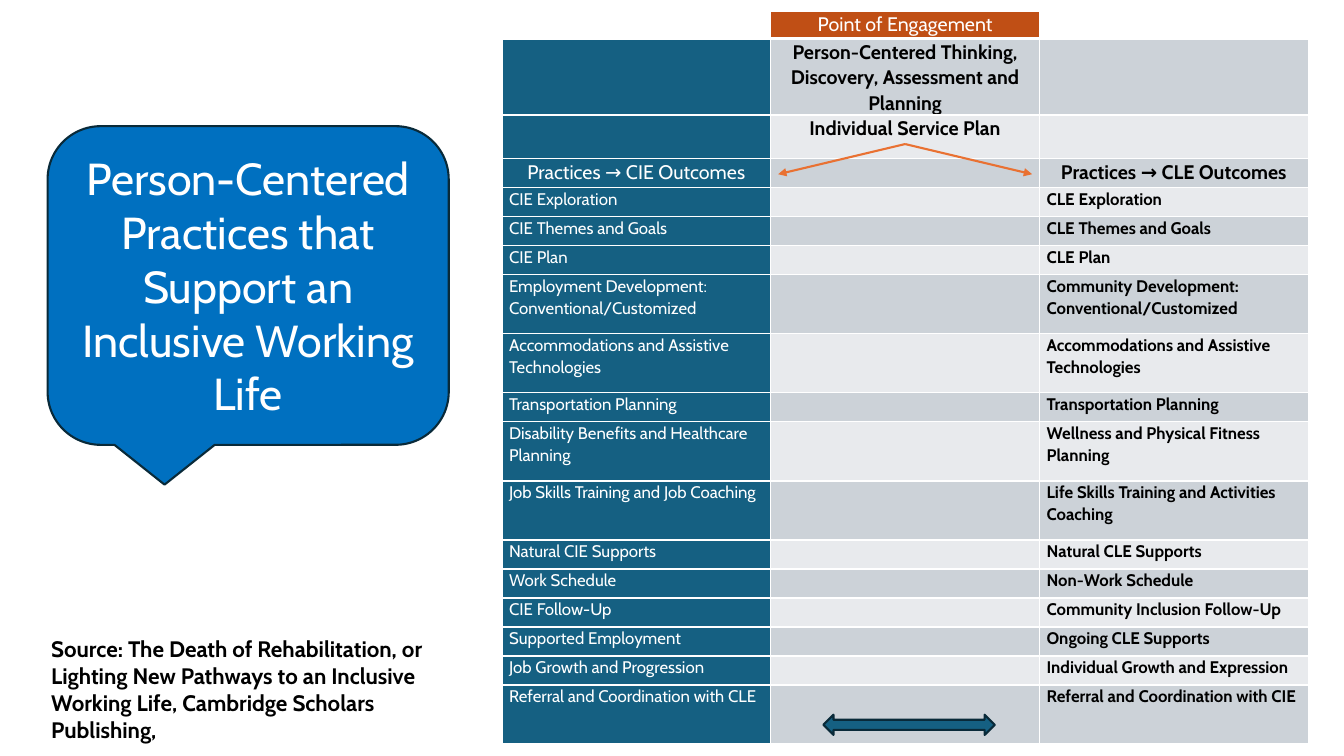
from lxml.etree import SubElement as Sub
from pptx import Presentation
from pptx.dml.color import RGBColor as RGB
from pptx.enum.shapes import MSO_CONNECTOR as Link, MSO_SHAPE as Shape
from pptx.enum.text import MSO_ANCHOR as Anchor, PP_ALIGN as Align
from pptx.oxml.ns import qn
from pptx.util import Cm, Pt

FONT = "Cabin"
WHITE, BLACK, TEAL, NAVY = "FFFFFF", "000000", "156082", "092A39"
BLUE, RUST, ORANGE = "0070C0", "C04F15", "E97132"
BANDS = ["E8EAED", "CCD2D8"]
LOW, TALL = 0.73, 1.49

# Row height, then the text of the three columns
ROWS = [
    (0.69, "", "Point of Engagement", ""),
    (1.92, "", "Person-Centered Thinking, Discovery, Assessment and Planning", ""),
    (1.1, "", "Individual Service Plan", ""),
    (LOW, "Practices → CIE Outcomes", "", "Practices → CLE Outcomes"),
    (LOW, "CIE Exploration", "", "CLE Exploration"),
    (LOW, "CIE Themes and Goals", "", "CLE Themes and Goals"),
    (LOW, "CIE Plan", "", "CLE Plan"),
    (TALL, "Employment Development:\nConventional/Customized", "",
     "Community Development:\nConventional/Customized"),
    (TALL, "Accommodations and Assistive Technologies", "",
     "Accommodations and Assistive Technologies"),
    (LOW, "Transportation Planning", "", "Transportation Planning"),
    (TALL, "Disability Benefits and Healthcare Planning", "",
     "Wellness and Physical Fitness Planning"),
    (TALL, "Job Skills Training and Job Coaching", "",
     "Life Skills Training and Activities Coaching"),
    (LOW, "Natural CIE Supports", "", "Natural CLE Supports"),
    (LOW, "Work Schedule", "", "Non-Work Schedule"),
    (LOW, "CIE Follow-Up", "", "Community Inclusion Follow-Up"),
    (LOW, "Supported Employment", "", "Ongoing CLE Supports"),
    (LOW, "Job Growth and Progression", "", "Individual Growth and Expression"),
    (TALL, "Referral and Coordination with CLE", "",
     "Referral and Coordination with CIE"),
]
HEADS = 4


def color(code):
    return RGB.from_string(code)


def write(frame, text, size=12, ink=BLACK, bold=False, align=Align.LEFT, space=None):
    frame.word_wrap = True
    for i, line in enumerate(text.split("\n")):
        para = frame.add_paragraph() if i else frame.paragraphs[0]
        para.alignment, para.line_spacing = align, space
        if not line:
            Sub(para._p, qn("a:endParaRPr"), sz=str(size * 100))
            continue
        run = para.add_run()
        run.text = line
        font = run.font
        font.name, font.size, font.bold = FONT, Pt(size), bold
        font.color.rgb = color(ink)


def add_shape(slide, kind, fill, x, y, w, h):
    shape = slide.shapes.add_shape(kind, Cm(x), Cm(y), Cm(w), Cm(h))
    shape.shadow.inherit = False
    shape.fill.solid()
    shape.fill.fore_color.rgb = color(fill)
    shape.line.color.rgb = color(NAVY)
    shape.line.width = Pt(1.5)
    return shape


def add_arrow(slide, x1, y1, x2, y2):
    arrow = slide.shapes.add_connector(Link.STRAIGHT, Cm(x1), Cm(y1), Cm(x2), Cm(y2))
    arrow.line.color.rgb = color(ORANGE)
    arrow.line.width = Pt(1.5)
    Sub(arrow.line._get_or_add_ln(), qn("a:tailEnd"), type="triangle")
    Sub(arrow._element.spPr, qn("a:effectLst"))


def frame_cell(cell, base):
    """Draw white borders, with a bottom of base points."""
    props = cell._tc.get_or_add_tcPr()
    for side, width in zip("LRTB", (1, 1, 1, base)):
        edge = Sub(props, qn(f"a:ln{side}"), w=str(Pt(width)))
        Sub(Sub(edge, qn("a:solidFill")), qn("a:srgbClr"), val=WHITE)


def fill_cell(cell, text, r, c):
    top, first = r == 0, c == 0
    frame_cell(cell, 3 if top else 1)
    if top:
        back = RUST if c == 1 else WHITE
    else:
        back = TEAL if first else BANDS[r % 2]
    cell.fill.solid()
    cell.fill.fore_color.rgb = color(back)
    cell.margin_left = cell.margin_right = Cm(0.18)
    cell.margin_top = cell.margin_bottom = 0
    head, light = r < HEADS, top or first
    write(cell.text_frame, text, size=14 if head else 12,
          ink=WHITE if light else BLACK, bold=not light,
          align=Align.CENTER if head else Align.LEFT, space=1.07)


def add_grid(slide, x, y, w):
    """Place the table of practices and its arrows."""
    col, tall = w / 3, sum(row[0] for row in ROWS)
    grid = slide.shapes.add_table(len(ROWS), 3, Cm(x), Cm(y), Cm(w), Cm(tall)).table
    grid.first_row = grid.horz_banding = False
    for column in grid.columns:
        column.width = Cm(col)
    for r, (height, *texts) in enumerate(ROWS):
        grid.rows[r].height = Cm(height)
        for c, text in enumerate(texts):
            fill_cell(grid.cell(r, c), text, r, c)
    mid = x + w / 2
    for reach in (3.2, -3.2):
        add_arrow(slide, mid, y + 3.35, mid + reach, y + 4.11)
    add_shape(slide, Shape.LEFT_RIGHT_ARROW, TEAL, mid - 2.06, y + tall - 0.73, 4.32, 0.51)


def add_title(slide, x, y, w, h):
    bubble = add_shape(slide, Shape.ROUNDED_RECTANGULAR_CALLOUT, BLUE, x, y, w, h)
    bubble.text_frame.vertical_anchor = Anchor.MIDDLE
    write(bubble.text_frame,
          "Person-Centered Practices that Support an Inclusive Working Life",
          size=32, ink=WHITE, align=Align.CENTER)


def add_source(slide, x, y, w, h):
    box = slide.shapes.add_textbox(Cm(x), Cm(y), Cm(w), Cm(h))
    write(box.text_frame,
          "Source: The Death of Rehabilitation, or Lighting New Pathways to an "
          "Inclusive Working Life, Cambridge Scholars Publishing,",
          size=16, bold=True)


def main():
    deck = Presentation()
    deck.slide_width, deck.slide_height = Cm(33.87), Cm(19.05)
    slide = deck.slides.add_slide(deck.slide_layouts[6])
    add_grid(slide, 12.65, 0.28, 20.32)
    add_title(slide, 1.2, 3.18, 10.11, 8.03)
    add_source(slide, 1.04, 15.88, 10.44, 3)
    deck.save("out.pptx")


if __name__ == "__main__":
    main()
